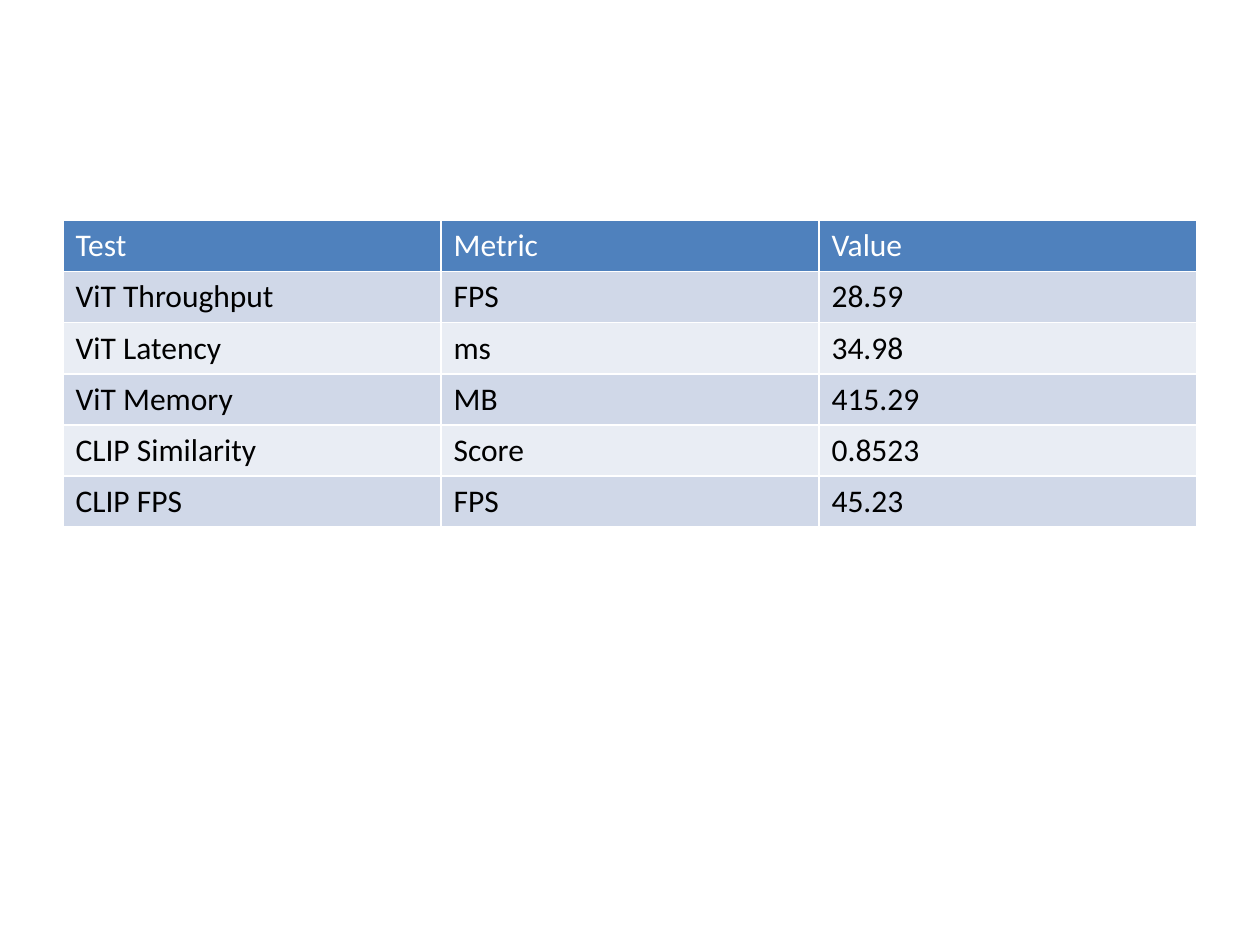
import dataclasses

import pptx
import pptx.dml.color
import pptx.util

Inches = pptx.util.Inches
RGB = pptx.dml.color.RGBColor.from_string


@dataclasses.dataclass(frozen=True)
class Theme:
    font: str = "Calibri"
    size: int = 18
    header_fill: str = "4F81BD"
    header_text: str = "FFFFFF"
    body_text: str = "000000"
    bands: tuple = ("D0D8E8", "E9EDF4")


class SlideBuilder:
    def __init__(self, prs, theme):
        self.theme = theme
        blank_layout = prs.slide_layouts[6]
        self.slide = prs.slides.add_slide(blank_layout)

    def table(self, rows, left, top, col_width, row_height):
        """Add a table whose first row is the header; white rules come from the table style."""
        n_rows, n_cols = len(rows), len(rows[0])
        frame = self.slide.shapes.add_table(
            n_rows, n_cols, Inches(left), Inches(top),
            Inches(col_width * n_cols), Inches(row_height * n_rows))
        for i, row in enumerate(rows):
            if i == 0:
                fill, color = self.theme.header_fill, self.theme.header_text
            else:
                fill = self.theme.bands[(i - 1) % len(self.theme.bands)]
                color = self.theme.body_text
            for j, text in enumerate(row):
                self.cell(frame.table.cell(i, j), text, fill, color)

    def cell(self, cell, text, fill, color):
        cell.fill.solid()
        cell.fill.fore_color.rgb = RGB(fill)
        r = cell.text_frame.paragraphs[0].add_run()
        r.text = text
        formats = {"name": self.theme.font, "size": pptx.util.Pt(self.theme.size), "bold": False}
        for name, value in formats.items():
            setattr(r.font, name, value)
        r.font.color.rgb = RGB(color)


BENCHMARKS = [
    ("Test", "Metric", "Value"),
    ("ViT Throughput", "FPS", "28.59"),
    ("ViT Latency", "ms", "34.98"),
    ("ViT Memory", "MB", "415.29"),
    ("CLIP Similarity", "Score", "0.8523"),
    ("CLIP FPS", "FPS", "45.23"),
]


def main():
    prs = pptx.Presentation()
    prs.slide_width, prs.slide_height = Inches(10), Inches(7.5)
    s = SlideBuilder(prs, Theme())
    s.table(BENCHMARKS, left=0.5, top=1.75, col_width=3, row_height=0.4)
    prs.save("out.pptx")


if __name__ == "__main__":
    main()
